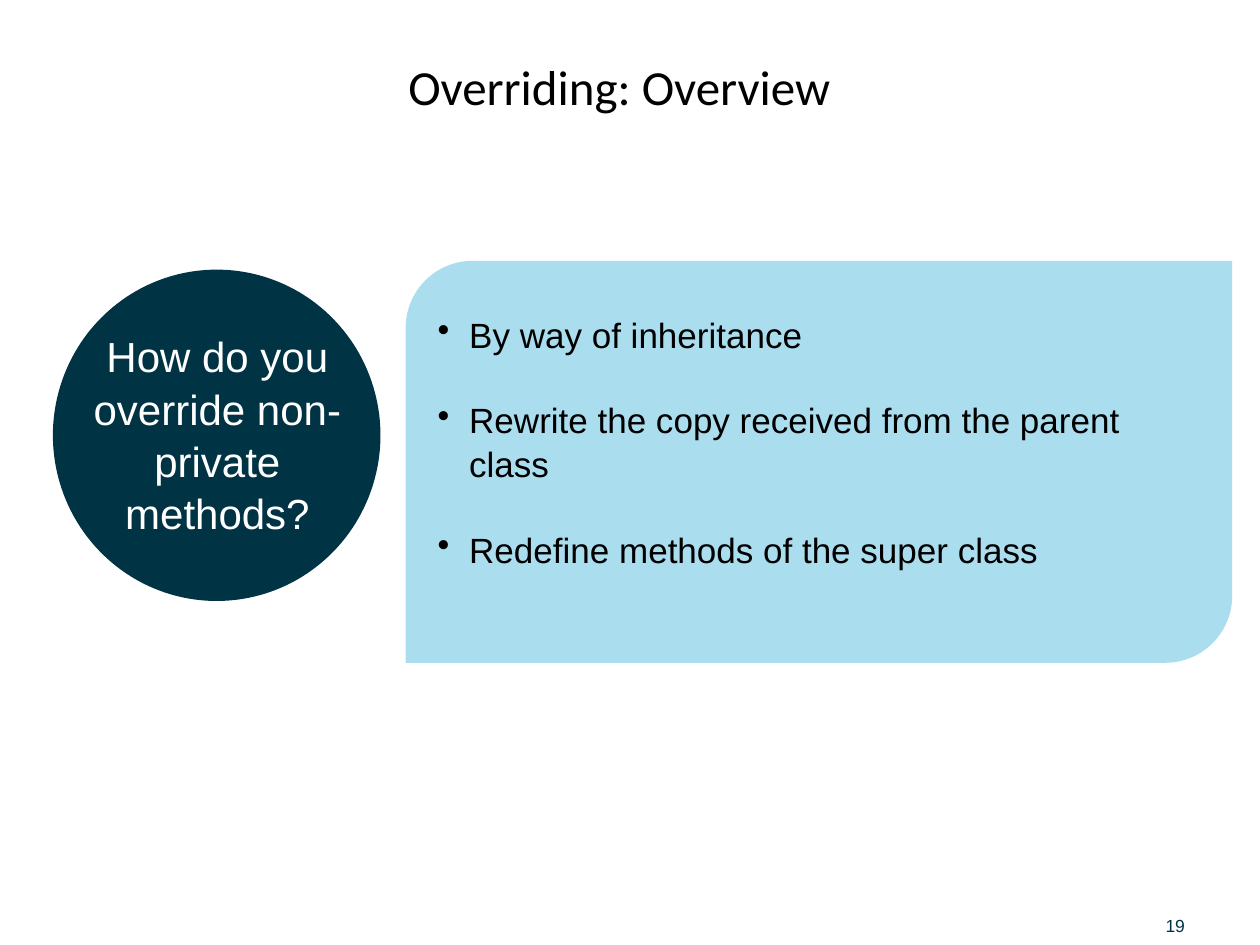
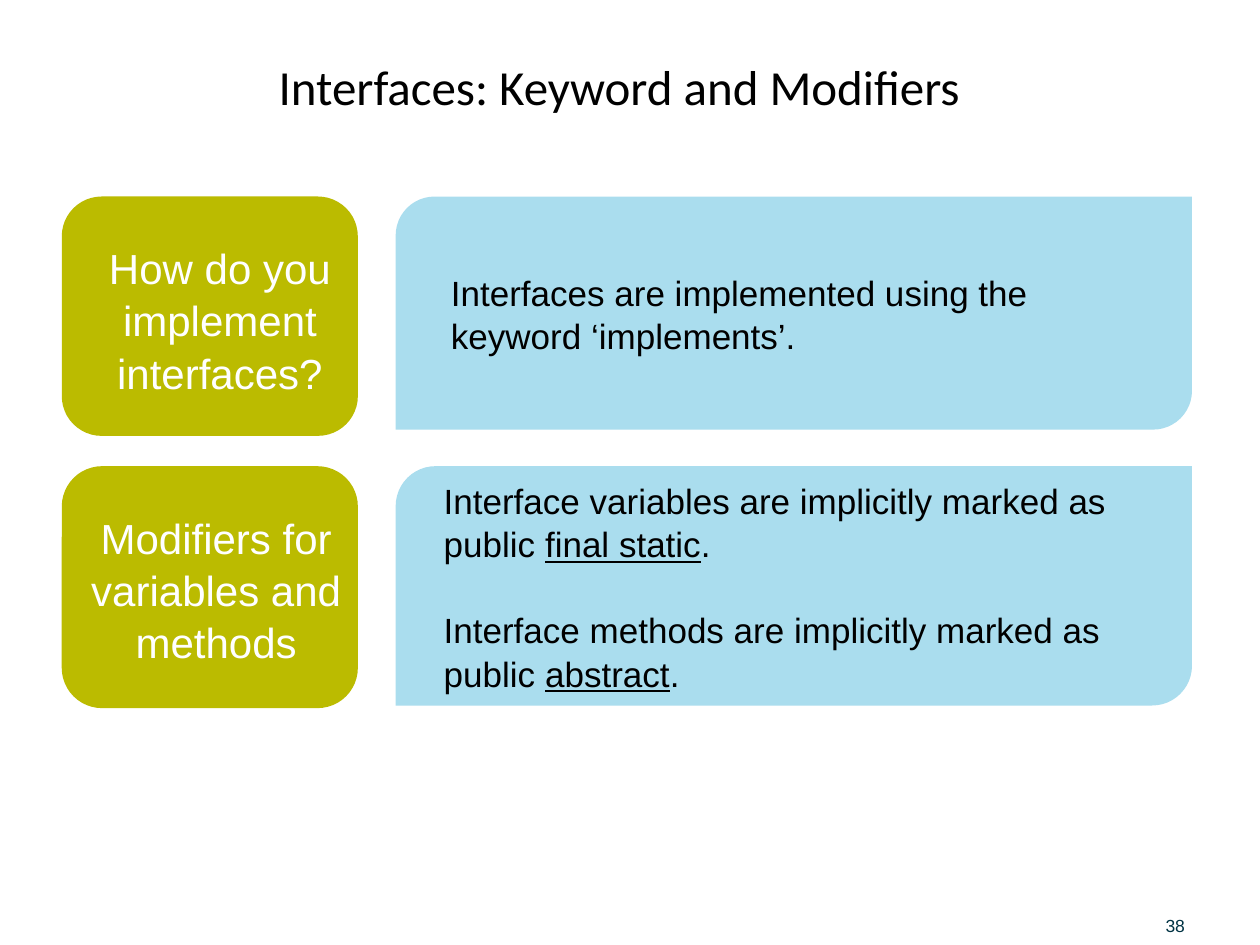
from lxml import etree
from pptx import Presentation
from pptx.dml.color import RGBColor
from pptx.enum.shapes import MSO_SHAPE as Shape
from pptx.enum.text import MSO_ANCHOR as Anchor, PP_ALIGN as Align
from pptx.oxml.ns import qn
from pptx.util import Inches, Pt

NAVY, SKY, OLIVE = "003344", "AADDEE", "BBBB00"
BLACK, WHITE = "000000", "FFFFFF"
LINE_SPACING = 1.04
INSET = 0.05


def color(value):
    return RGBColor.from_string(value)


class SlideBuilder:
    def __init__(self):
        self.deck = Presentation()
        self.deck.slide_width, self.deck.slide_height = Inches(10), Inches(7.5)
        self.page = None

    def new_page(self, title, number):
        self.page = self.deck.slides.add_slide(self.deck.slide_layouts[6])
        self.text(title, 0.5, 0.2, 8.83, 0.95, 28, BLACK, "Calibri",
                  Align.CENTER, Anchor.MIDDLE)
        footer = self.text(number, 9.25, 7.15, 0.69, 0.28, 10, NAVY,
                           anchor=Anchor.BOTTOM)
        footer.margin_left = footer.margin_right = 0
        footer.margin_top = footer.margin_bottom = 0

    def style(self, para, size, fill, font="Arial", align=Align.LEFT):
        para.font.name, para.font.size = font, Pt(size)
        para.font.color.rgb = color(fill)
        para.alignment = align
        para.line_spacing = LINE_SPACING

    def text(self, words, left, top, width, height, size, fill,
             font="Arial", align=Align.LEFT, anchor=Anchor.TOP):
        box = self.page.shapes.add_textbox(
            Inches(left), Inches(top), Inches(width), Inches(height))
        frame = box.text_frame
        frame.word_wrap, frame.vertical_anchor = True, anchor
        para = frame.paragraphs[0]
        para.text = words
        self.style(para, size, fill, font, align)
        return frame

    def shape(self, kind, left, top, width, height, fill):
        shape = self.page.shapes.add_shape(
            kind, Inches(left), Inches(top), Inches(width), Inches(height))
        shape.shadow.inherit = False
        shape.fill.solid()
        shape.fill.fore_color.rgb = color(fill)
        shape.line.fill.background()
        return shape

    def label(self, words, left, top, height):
        self.text(words, left, top, 2.19, height, 24, WHITE, align=Align.CENTER)

    def panel(self, paragraphs, left, top, width, height, indent,
              bulleted=False, bottom_inset=INSET):
        """Each paragraph is a list of spans; every second span is underlined."""
        frame = self.shape(Shape.ROUND_2_DIAG_RECTANGLE, left, top, width,
                           height, SKY).text_frame
        frame.word_wrap, frame.vertical_anchor = True, Anchor.MIDDLE
        frame.margin_bottom = Inches(bottom_inset)
        for index, spans in enumerate(paragraphs):
            para = frame.add_paragraph() if index else frame.paragraphs[0]
            self.style(para, 20, BLACK)
            if index:
                para.space_before = Pt(24)
            for position, words in enumerate(spans):
                span = para.add_run()
                span.text = words
                if position % 2:
                    span.font.underline = True
            self.indent(para, indent, bulleted)

    def indent(self, para, amount, bulleted):
        properties = para._p.get_or_add_pPr()
        properties.set("marL", str(Inches(amount)))
        if bulleted:
            properties.set("indent", str(-Inches(amount)))
            bullet = etree.Element(qn("a:buChar"), char="•")
            properties.find(qn("a:defRPr")).addprevious(bullet)


def build_overriding(builder):
    builder.new_page("Overriding: Overview", "19")
    builder.shape(Shape.OVAL, 0.42, 2.14, 2.6, 2.63, NAVY)
    builder.panel([["By way of inheritance"],
                   ["Rewrite the copy received from the parent class"],
                   ["Redefine methods of the super class"]],
                  3.22, 2.07, 6.56, 3.19, 0.25, bulleted=True,
                  bottom_inset=INSET + 0.33)
    builder.label("How do you override non-private methods?", 0.63, 2.56, 1.72)


def build_interfaces(builder):
    builder.new_page("Interfaces: Keyword and Modifiers", "38")
    rows = [
        (1.56, 1.9, 1.85, "How do you implement interfaces?", 0.65, 0.25,
         [["Interfaces are implemented using the keyword ‘implements’."]]),
        (3.7, 1.92, 1.9, "Modifiers for variables and methods", 0.62, 0.19,
         [["Interface variables are implicitly marked as public ",
           "final static", "."],
          ["Interface methods are implicitly marked as public ",
           "abstract", "."]]),
    ]
    for top, tile_height, panel_height, heading, left, indent, answer in rows:
        builder.shape(Shape.ROUNDED_RECTANGLE, 0.49, top, 2.35, tile_height, OLIVE)
        builder.panel(answer, 3.14, top, 6.32, panel_height, indent)
        builder.label(heading, left, top + 0.3, 1.31)


def main():
    builder = SlideBuilder()
    build_overriding(builder)
    build_interfaces(builder)
    builder.deck.save("out.pptx")


if __name__ == "__main__":
    main()
